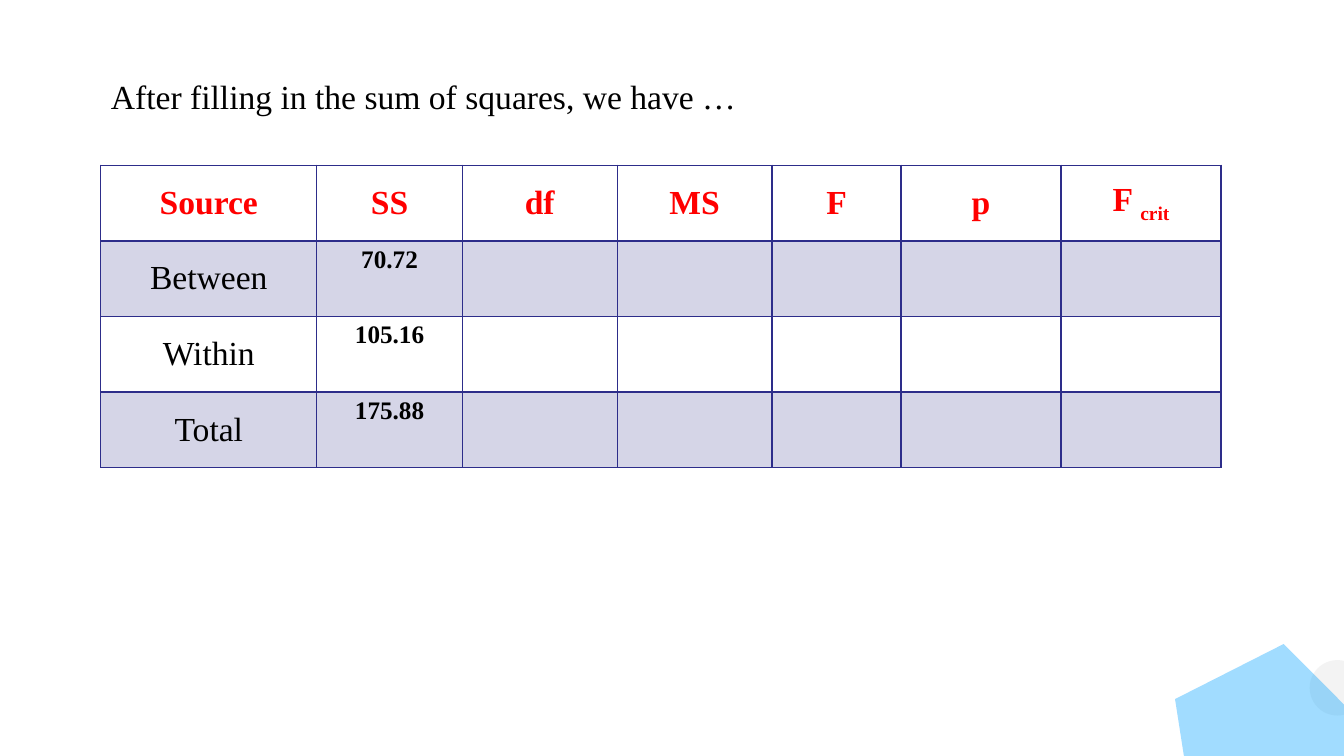
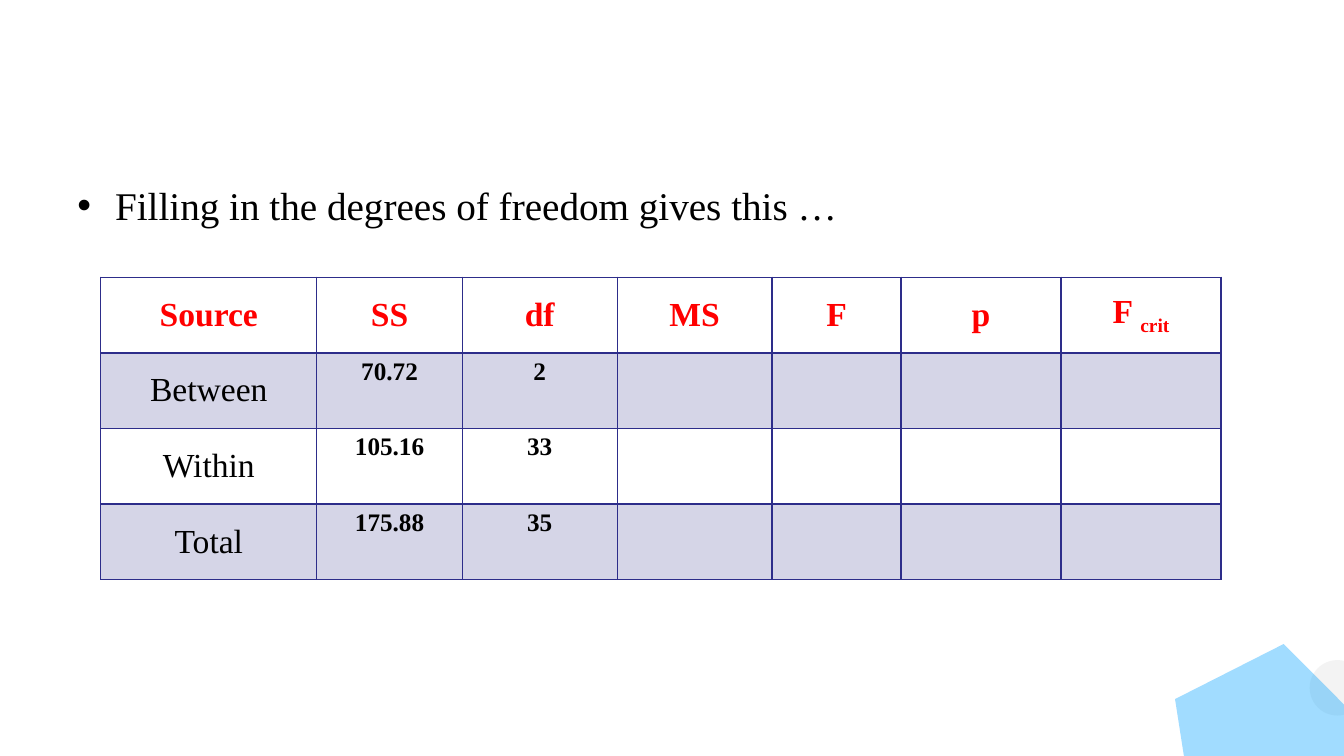
from dataclasses import dataclass

from lxml import etree
from pptx import Presentation
from pptx.dml.color import RGBColor
from pptx.enum.shapes import MSO_SHAPE
from pptx.enum.text import MSO_ANCHOR, MSO_AUTO_SIZE, PP_ALIGN
from pptx.oxml.ns import qn
from pptx.util import Pt

LEFT, CENTER = PP_ALIGN.LEFT, PP_ALIGN.CENTER
TOP, MIDDLE = MSO_ANCHOR.TOP, MSO_ANCHOR.MIDDLE
NO_AUTOFIT = MSO_AUTO_SIZE.NONE
ELLIPSE, PENTAGON = MSO_SHAPE.OVAL, MSO_SHAPE.REGULAR_PENTAGON
TITLE_AND_CONTENT, TITLE_ONLY = 1, 5


@dataclass(frozen=True)
class Theme:
    font: str = "Times New Roman"
    text: str = "000000"
    heading: str = "FF0000"
    grid: str = "2D2D8A"
    circle: str = "F3F3F3"
    pentagon: str = "00A1FF"
    title_size: int = 24
    body_size: int = 28
    label_size: int = 24
    value_size: int = 18


# Table content and geometry
HEADINGS = ["Source", "SS", "df", "MS", "F", "p", "F crit"]
SOURCES = ["Between", "Within", "Total"]
SUMS = ["70.72", "105.16", "175.88"]
DEGREES = ["2", "33", "35"]
COL_WIDTHS = [154.3, 104, 110.6, 110.6, 92.2, 114.3, 114.3]
ROW_HEIGHT = 54


def sub(parent, tag, **attrs):
    return etree.SubElement(parent, qn(tag), attrs)


class Deck:
    def __init__(self, theme):
        self.theme = theme
        self.prs = Presentation()
        self.prs.slide_width, self.prs.slide_height = Pt(960), Pt(540)
        self.slide = None

    def add_slide(self, layout):
        self.slide = self.prs.slides.add_slide(self.prs.slide_layouts[layout])

    def style(self, p, size, color, bold=False):
        for r in p.runs:
            r.font.name, r.font.size, r.font.bold = self.theme.font, Pt(size), bold
            r.font.color.rgb = RGBColor.from_string(color)

    def fill(self, fill, props, color, opacity=100):
        fill.solid()
        fill.fore_color.rgb = RGBColor.from_string(color)
        if opacity < 100:
            sub(props.find(qn("a:solidFill"))[0], "a:alpha", val=str(opacity * 1000))

    def place(self, sp, x, y, w, h, text):
        sp.left, sp.top, sp.width, sp.height = Pt(x), Pt(y), Pt(w), Pt(h)
        tf = sp.text_frame
        tf.text = text
        tf.word_wrap, tf.auto_size, tf.vertical_anchor = True, NO_AUTOFIT, TOP
        p = tf.paragraphs[0]
        p.alignment, p.space_before = LEFT, Pt(0)
        return p

    def title(self, text):
        p = self.place(self.slide.shapes.title, 72, 50.4, 632, 36.6, text)
        self.style(p, self.theme.title_size, self.theme.text)

    def bullet(self, text):
        title = self.slide.shapes.title._element
        title.getparent().remove(title)
        p = self.place(self.slide.placeholders[1], 48, 126, 864, 48, text)
        pPr = p._p.get_or_add_pPr()
        pPr.set("marL", str(Pt(27)))
        pPr.set("indent", str(-Pt(27)))
        sub(sub(pPr, "a:buClr"), "a:srgbClr", val=self.theme.text)
        sub(pPr, "a:buFont", typeface="Arial")
        sub(pPr, "a:buChar", char="•")
        self.style(p, self.theme.body_size, self.theme.text)

    def borders(self, cell, row):
        tcPr = cell._tc.get_or_add_tcPr()
        heavy = {0: "B", 1: "T"}.get(row)
        for side in "LRTB":
            width = Pt(2 if side == heavy else 1)
            ln = sub(tcPr, f"a:ln{side}", w=str(width))
            sub(sub(ln, "a:solidFill"), "a:srgbClr", val=self.theme.grid)

    def cell(self, cell, row, col, text):
        th = self.theme
        self.borders(cell, row)
        if row % 2:
            self.fill(cell.fill, cell._tc.tcPr, th.grid, 20)
        else:
            cell.fill.background()
        if not text:
            return
        is_label = row == 0 or col == 0
        cell.vertical_anchor = MIDDLE if is_label else TOP
        p = cell.text_frame.paragraphs[0]
        p.alignment = CENTER
        base, space, subscript = text.partition(" ")
        p.text = base + space
        if subscript:
            r = p.add_run()
            r.text = subscript
            r._r.get_or_add_rPr().set("baseline", "-25000")
        self.style(p, th.label_size if is_label else th.value_size,
                   th.heading if row == 0 else th.text,
                   bold=row == 0 or col > 0)

    def table(self, top, *value_columns):
        rows = [HEADINGS, *zip(SOURCES, *value_columns)]
        frame = self.slide.shapes.add_table(
            len(rows), len(HEADINGS), Pt(72), Pt(top),
            Pt(sum(COL_WIDTHS)), Pt(ROW_HEIGHT * len(rows)))
        table = frame.table
        table.first_row = table.horz_banding = False
        for column, width in zip(table.columns, COL_WIDTHS):
            column.width = Pt(width)
        for i, texts in enumerate(rows):
            for j in range(len(HEADINGS)):
                self.cell(table.cell(i, j), i, j, texts[j] if j < len(texts) else "")

    def shape(self, kind, x, y, w, h, color, opacity=100, rotation=0):
        sp = self.slide.shapes.add_shape(kind, Pt(x), Pt(y), Pt(w), Pt(h))
        sp.shadow.inherit = False
        sp.rotation = rotation
        self.fill(sp.fill, sp._element.spPr, color, opacity)
        sp.line.fill.background()

    def corner(self):
        self.shape(ELLIPSE, 935.5, 471.5, 39.6, 39.6, self.theme.circle)
        self.shape(PENTAGON, 841.7, 465.1, 141, 134, self.theme.pentagon, 37, 81.1)


def main():
    deck = Deck(Theme())

    # Sums of squares
    deck.add_slide(TITLE_ONLY)
    deck.title("After filling in the sum of squares, we have …")
    deck.table(118, SUMS)
    deck.corner()

    # Degrees of freedom
    deck.add_slide(TITLE_AND_CONTENT)
    deck.bullet("Filling in the degrees of freedom gives this …")
    deck.table(198, SUMS, DEGREES)
    deck.corner()

    deck.prs.save("out.pptx")


if __name__ == "__main__":
    main()
